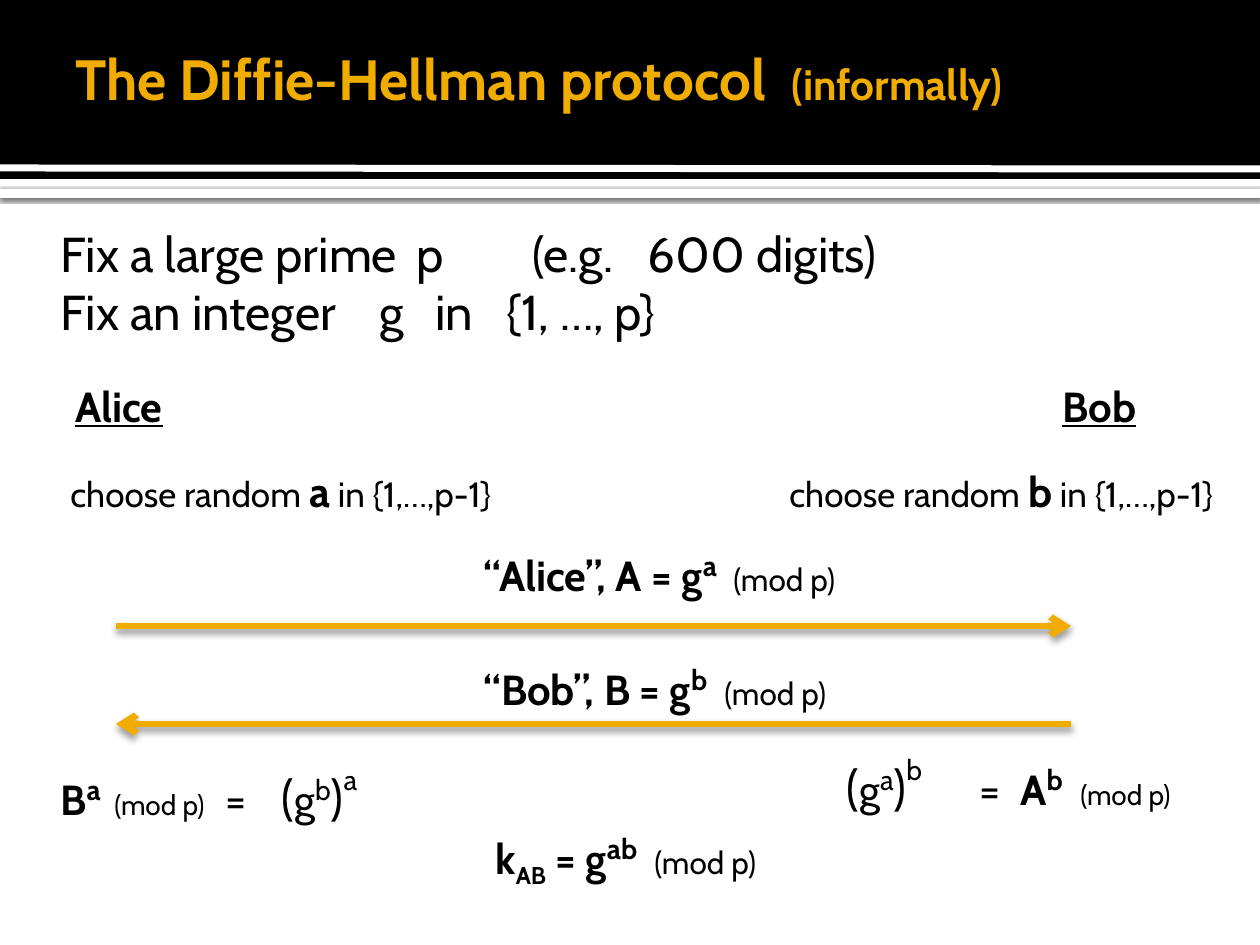
"""Build a slide that outlines the Diffie-Hellman key exchange."""
import lxml.etree
import pptx
import pptx.dml.color
import pptx.enum.shapes
import pptx.enum.text
import pptx.oxml
import pptx.oxml.ns
import pptx.util

PX = 914400 / 126
BLACK, WHITE, GOLD = "000000", "FFFFFF", "F0AD00"
FONT = "Cabin"
color = pptx.dml.color.RGBColor.from_string
qn = pptx.oxml.ns.qn


def add_text(box, paragraphs, text_color=BLACK):
    """Add a text box; each paragraph is (tab stops, runs of text, size, style, baseline)."""
    shape = slide.shapes.add_textbox(*[int(value * PX) for value in box])
    frame = shape.text_frame
    frame.word_wrap = True
    for index, (tabs, runs) in enumerate(paragraphs):
        paragraph = frame.add_paragraph() if index else frame.paragraphs[0]
        if tabs:
            tab_list = lxml.etree.SubElement(paragraph._p.get_or_add_pPr(), qn("a:tabLst"))
            for tab in tabs:
                lxml.etree.SubElement(tab_list, qn("a:tab"), pos=str(int(tab * PX)), algn="l")
        for text, size, style, baseline in runs:
            run = paragraph.add_run()
            run.text = text
            run.font.name = FONT
            run.font.size = pptx.util.Pt(size)
            run.font.bold = "b" in style
            run.font.underline = "u" in style
            run.font.color.rgb = color(text_color)
            if baseline:
                run._r.get_or_add_rPr().set("baseline", str(baseline * 1000))
    return frame


def add_shadow(shape, alpha, blur, distance):
    """Give a shape a black shadow that falls straight down."""
    effects = lxml.etree.SubElement(shape._element.spPr, qn("a:effectLst"))
    shadow = lxml.etree.SubElement(
        effects, qn("a:outerShdw"), blurRad=str(int(pptx.util.Pt(blur))),
        dist=str(int(pptx.util.Pt(distance))), dir="5400000", rotWithShape="0")
    shade = lxml.etree.SubElement(shadow, qn("a:srgbClr"), val=BLACK)
    lxml.etree.SubElement(shade, qn("a:alpha"), val=str(alpha * 1000))


presentation = pptx.Presentation()
presentation.slide_width = int(1260 * PX)
presentation.slide_height = int(945 * PX)
slide = presentation.slides.add_slide(presentation.slide_layouts[6])

for top, height, fill in [(189, 9, WHITE), (0, 179, BLACK)]:
    band = slide.shapes.add_shape(
        pptx.enum.shapes.MSO_SHAPE.RECTANGLE,
        0, int(top * PX), int(1260 * PX), int(height * PX))
    band.fill.solid()
    band.fill.fore_color.rgb = color(fill)
    band.line.fill.background()
    if fill == WHITE:
        add_shadow(band, 60, 2.5, 0.8)
    else:
        band.shadow.inherit = False

for start_x, start_y, end_x, end_y, line_color, width in [
    (0, 168, 1260, 169, WHITE, 4),
    (1071, 724, 116, 724, GOLD, 3.78),
    (116, 626, 1071, 626, GOLD, 3.78),
]:
    line = slide.shapes.add_connector(
        pptx.enum.shapes.MSO_CONNECTOR.STRAIGHT,
        *[int(value * PX) for value in (start_x, start_y, end_x, end_y)])
    line.line.color.rgb = color(line_color)
    line.line.width = pptx.util.Pt(width)
    if line_color == GOLD:
        lxml.etree.SubElement(line.line._get_or_add_ln(), qn("a:tailEnd"), type="arrow")
        add_shadow(line, 38, 3.5, 2)
    else:
        lxml.etree.SubElement(line._element.spPr, qn("a:effectLst"))

title = add_text((63, 10, 1039, 136), [
    ([716], [("The Diffie-Hellman protocol\t", 32.4, "b", 0), ("(informally)", 24.3, "b", 0)]),
], GOLD)
title.vertical_anchor = pptx.enum.text.MSO_ANCHOR.MIDDLE

add_text((48, 217, 1139, 150), [
    ([356, 472, 587], [("Fix a large prime\tp\t(e.g.\t600 digits)", 28, "", 0)]),
    ([319, 375, 446], [("Fix an integer\tg\tin\t{1, …, p}", 28, "", 0)]),
])

for name, name_left, secret, choice_left in [("Alice", 63, "a", 58), ("Bob", 1050, "b", 777)]:
    add_text((name_left, 374, 125, 63), [([], [(name, 24, "bu", 0)])])
    add_text((choice_left, 459, 465, 63), [([], [
        ("choose random ", 20, "", 0), (secret, 24, "b", 0), (" in {1,…,p-1}", 20, "", 0)])])

for top, message, exponent, tab in [(536, "“Alice”, A = g", "a", 250), (650, "“Bob”, B = g", "b", 241)]:
    add_text((471, top, 484, 63), [([tab], [
        (message, 24, "b", 0), (exponent, 28, "b", 30), ("\t", 24, "b", 0), ("(mod p)", 18, "", 0)])])

add_text((483, 819, 310, 63), [([159], [
    ("k", 24, "b", 0), ("AB", 24, "b", -25), (" = g", 24, "b", 0),
    ("ab", 28, "b", 30), ("\t", 24, "b", 0), ("(mod p)", 18, "", 0)])])

add_text((834, 746, 370, 72), [([133, 174, 234], [
    ("(", 28, "", 0), ("g", 24, "", 0), ("a", 28, "", 30), (")", 28, "", 0), ("b", 28, "", 50),
    ("\t=\t", 24, "", 0), ("A", 24, "b", 0), ("b", 28, "b", 30), ("\t(mod p)", 16, "", 0)])])

add_text((48, 756, 350, 72), [([54, 165, 221], [
    ("B", 24, "b", 0), ("a", 28, "b", 30), ("\t(mod p)\t", 16, "", 0), ("=\t", 24, "", 0),
    ("(", 28, "", 0), ("g", 24, "", 0), ("b", 28, "", 30), (")", 28, "", 0), ("a", 28, "", 50)])])

presentation.save("out.pptx")
